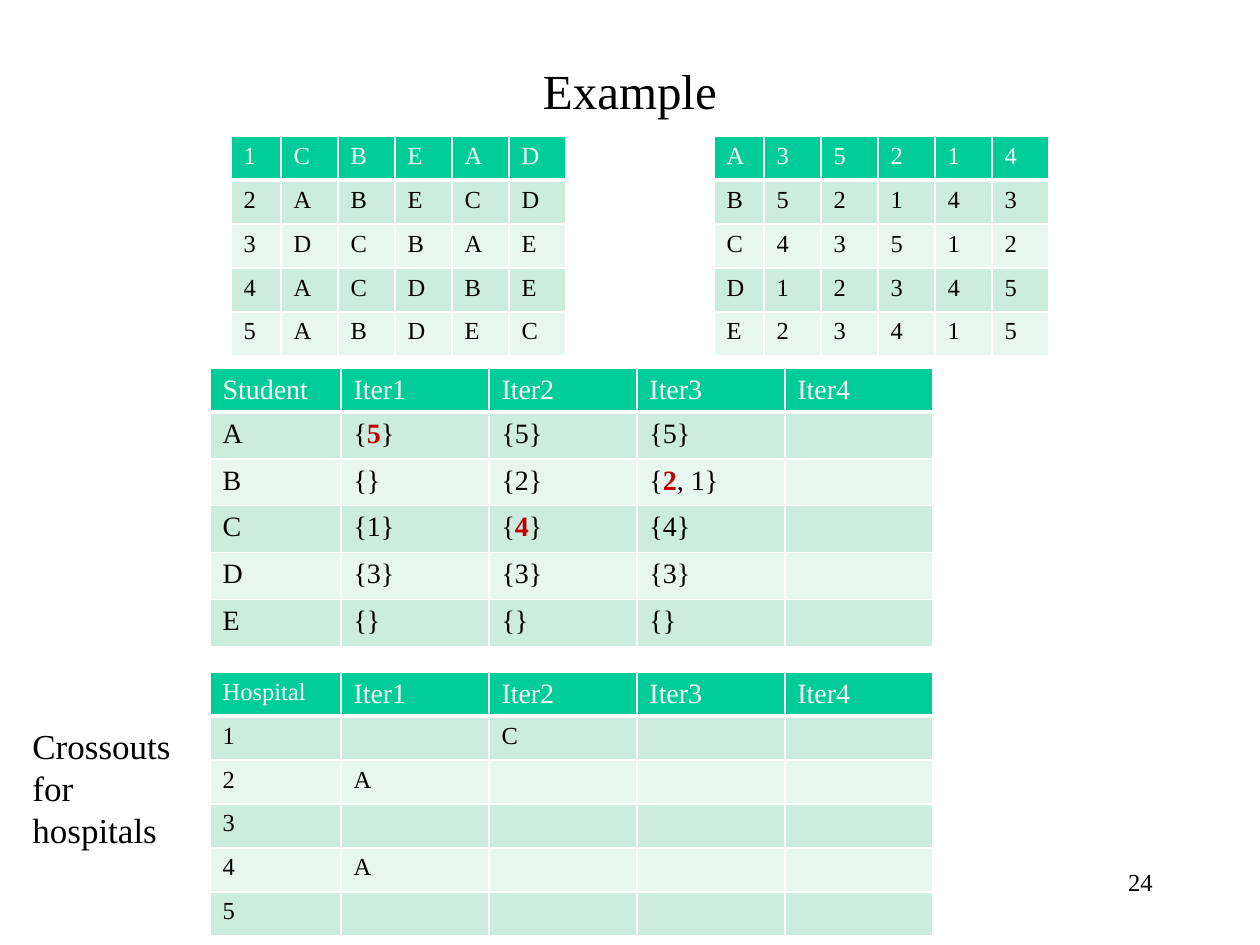
"""Build the stable matching example slide with its preference and iteration tables."""
from lxml import etree
from pptx import Presentation
from pptx.dml.color import RGBColor
from pptx.enum.text import MSO_ANCHOR, PP_ALIGN
from pptx.oxml.ns import qn
from pptx.util import Pt

LEFT, CENTER, RIGHT = PP_ALIGN.LEFT, PP_ALIGN.CENTER, PP_ALIGN.RIGHT
TOP, MIDDLE = MSO_ANCHOR.TOP, MSO_ANCHOR.MIDDLE
PX = 914400 / 126
ROW_HEIGHT = 44
THEME = {
    "font": "Times New Roman",
    "text": "000000",
    "header_text": "FFFFFF",
    "accent": "C00000",
    "header": "00CC99",
    "bands": ("E7F6EF", "CCECDE"),
    "border": "FFFFFF",
    "title": 28,
    "label": 20,
    "large": 16,
    "small": 14,
}


def px(length):
    """Turn pixels into EMU."""
    return round(length * PX)


def write(paragraph, text, size, color):
    """Write text as runs, with the parts between asterisks emphasised."""
    for index, part in enumerate(text.split("*")):
        emphasised = index % 2 == 1
        run = paragraph.add_run()
        run.text = part
        font_format = {"name": THEME["font"], "size": Pt(size), "bold": emphasised}
        for name, value in font_format.items():
            setattr(run.font, name, value)
        run.font.color.rgb = RGBColor.from_string(THEME["accent"] if emphasised else color)


presentation = Presentation()
presentation.slide_width, presentation.slide_height = px(1260), px(945)
slide = presentation.slides.add_slide(presentation.slide_layouts[6])

PREFERENCE_COLUMNS = [50] + [57] * 5
ITERATION_COLUMNS = [131] + [148] * 4
ITERATIONS = ["Iter1", "Iter2", "Iter3", "Iter4"]
tables = [
    (231, 136, PREFERENCE_COLUMNS, "small", "small",
     ["1CBEAD", "2ABECD", "3DCBAE", "4ACDBE", "5ABDEC"]),
    (714, 136, PREFERENCE_COLUMNS, "small", "small",
     ["A35214", "B52143", "C43512", "D12345", "E23415"]),
    (210, 368, ITERATION_COLUMNS, "large", "large", [
        ["Student"] + ITERATIONS,
        ["A", "{*5*}", "{5}", "{5}", ""],
        ["B", "{}", "{2}", "{*2*, 1}", ""],
        ["C", "{1}", "{*4*}", "{4}", ""],
        ["D", "{3}", "{3}", "{3}", ""],
        ["E", "{}", "{}", "{}", ""],
    ]),
    (210, 672, ITERATION_COLUMNS, "large", "small", [
        ["Hospital"] + ITERATIONS,
        ["1", "", "C", "", ""],
        ["2", "A", "", "", ""],
        ["3", "", "", "", ""],
        ["4", "A", "", "", ""],
        ["5", "", "", "", ""],
    ]),
]

for left, top, widths, header_size, body_size, rows in tables:
    shape = slide.shapes.add_table(
        len(rows), len(widths), px(left), px(top), px(sum(widths)), px(ROW_HEIGHT * len(rows)))
    table = shape.table
    for column, width in zip(table.columns, widths):
        column.width = px(width)
    for row_index, values in enumerate(rows):
        table.rows[row_index].height = px(ROW_HEIGHT)
        is_header = row_index == 0
        fill = THEME["header"] if is_header else THEME["bands"][row_index % 2]
        color = THEME["header_text" if is_header else "text"]
        borders = {"lnL": 1, "lnR": 1, "lnT": 3 if row_index == 1 else 1, "lnB": 3 if is_header else 1}
        for column_index, value in enumerate(values):
            cell = table.cell(row_index, column_index)
            properties = cell._tc.get_or_add_tcPr()
            for side, width in borders.items():
                line = etree.SubElement(properties, qn(f"a:{side}"), w=str(Pt(width)))
                solid = etree.SubElement(line, qn("a:solidFill"))
                etree.SubElement(solid, qn("a:srgbClr"), val=THEME["border"])
            cell.fill.solid()
            cell.fill.fore_color.rgb = RGBColor.from_string(fill)
            size = THEME[header_size if is_header and column_index else body_size]
            paragraph = cell.text_frame.paragraphs[0]
            if value:
                write(paragraph, value, size, color)
            else:
                etree.SubElement(paragraph._p, qn("a:endParaRPr"), sz=str(size * 100))

texts = [
    ((94, 53, 1072, 73), ["Example"], "title", CENTER, MIDDLE),
    ((903, 861, 262, 63), ["24"], "small", RIGHT, TOP),
    ((20, 718, 186, 140), ["Crossouts for", "hospitals"], "label", LEFT, TOP),
]
for box, lines, size, alignment, anchor in texts:
    frame = slide.shapes.add_textbox(*map(px, box)).text_frame
    for name, value in {"word_wrap": True, "vertical_anchor": anchor}.items():
        setattr(frame, name, value)
    for index, line in enumerate(lines):
        paragraph = frame.add_paragraph() if index else frame.paragraphs[0]
        paragraph.alignment = alignment
        write(paragraph, line, THEME[size], THEME["text"])

presentation.save("out.pptx")
